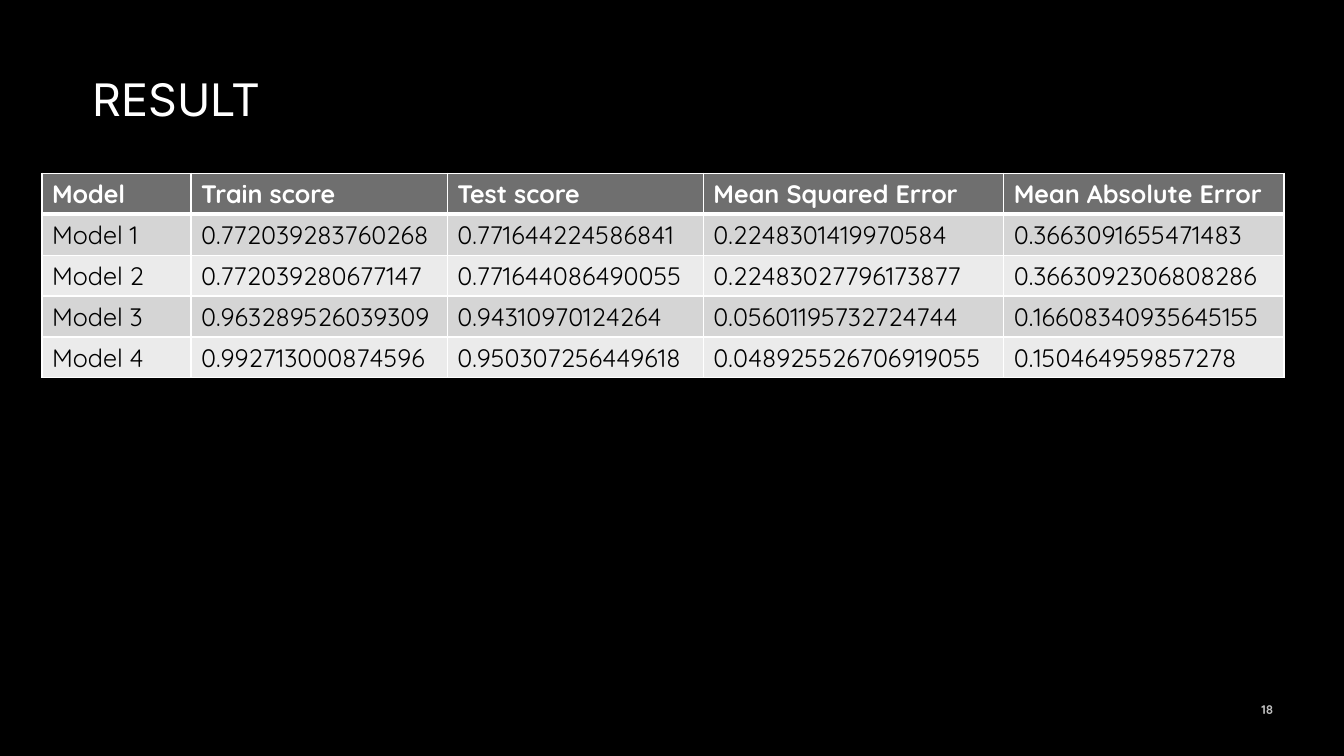
from lxml import etree
from pptx import Presentation
from pptx.dml.color import RGBColor
from pptx.enum.text import MSO_ANCHOR, PP_ALIGN
from pptx.oxml.ns import qn
from pptx.util import Pt

PX = 9525  # 96 px to the inch
BLACK = RGBColor(0x00, 0x00, 0x00)
WHITE = RGBColor(0xFF, 0xFF, 0xFF)
SILVER = RGBColor(0xA6, 0xA6, 0xA6)
NUMBER_GRAY = RGBColor(0xBF, 0xBF, 0xBF)
HEADER_GRAY = RGBColor(0x6F, 0x6F, 0x6F)
BAND_GRAYS = (RGBColor(0xEB, 0xEB, 0xEB), RGBColor(0xD5, 0xD5, 0xD5))
TOP, MIDDLE = MSO_ANCHOR.TOP, MSO_ANCHOR.MIDDLE
LEFT, RIGHT = PP_ALIGN.LEFT, PP_ALIGN.RIGHT

COLUMN_WIDTHS = (142, 244, 244, 286, 267)
ROW_HEIGHT = 39
RESULTS = (
    ("Model", "Train score", "Test score", "Mean Squared Error", "Mean Absolute Error"),
    ("Model 1", "0.772039283760268", "0.771644224586841", "0.2248301419970584", "0.3663091655471483"),
    ("Model 2", "0.772039280677147", "0.771644086490055", "0.22483027796173877", "0.3663092306808286"),
    ("Model 3", "0.963289526039309", "0.94310970124264", "0.05601195732724744", "0.16608340935645155"),
    ("Model 4", "0.992713000874596", "0.950307256449618", "0.048925526706919055", "0.150464959857278"),
)


def write(text_frame, text, color, **font_values):
    """Put one run of text in the frame and return its font."""
    run = text_frame.paragraphs[0].add_run()
    run.text = text
    for name, value in font_values.items():
        setattr(run.font, name, value)
    run.font.color.rgb = color
    return run.font


def set_borders(cell, widths):
    """Draw white cell borders; widths maps a border tag to points."""
    properties = cell._tc.get_or_add_tcPr()
    for position, (tag, width) in enumerate(widths.items()):
        line = etree.Element(qn(f"a:{tag}"), w=str(Pt(width)))
        fill = etree.SubElement(line, qn("a:solidFill"))
        etree.SubElement(fill, qn("a:srgbClr"), val=str(WHITE))
        properties.insert(position, line)


presentation = Presentation()
presentation.slide_width = 1280 * PX
presentation.slide_height = 720 * PX
slide = presentation.slides.add_slide(presentation.slide_layouts[6])
slide.background.fill.solid()
slide.background.fill.fore_color.rgb = BLACK

# Slide number and title
fonts = {}
for text, box, anchor, alignment, color, font_values in (
    ("18", (1164, 657, 58, 38), MIDDLE, RIGHT, NUMBER_GRAY,
     {"name": "Quicksand", "size": Pt(9), "bold": True}),
    ("RESULT", (79, 64, 1082, 69), TOP, LEFT, WHITE,
     {"name": "Inter", "size": Pt(32)}),
):
    text_box = slide.shapes.add_textbox(*(length * PX for length in box))
    text_frame = text_box.text_frame
    text_frame.word_wrap = True
    text_frame.vertical_anchor = anchor
    text_frame.paragraphs[0].alignment = alignment
    fonts[text] = write(text_frame, text, color, **font_values)

# Title gradient, white to silver
title_fill = fonts["RESULT"].fill
title_fill.gradient()
title_fill.gradient_angle = 267
for stop, color in zip(title_fill.gradient_stops, (WHITE, SILVER)):
    stop.color.rgb = color

# Result table
table = slide.shapes.add_table(
    len(RESULTS), len(COLUMN_WIDTHS), 40 * PX, 165 * PX,
    sum(COLUMN_WIDTHS) * PX, len(RESULTS) * ROW_HEIGHT * PX,
).table
for column, width in zip(table.columns, COLUMN_WIDTHS):
    column.width = width * PX

for row_index, values in enumerate(RESULTS):
    is_header = row_index == 0
    table.rows[row_index].height = ROW_HEIGHT * PX
    border_widths = {
        "lnL": 1,
        "lnR": 1,
        "lnT": 3 if row_index == 1 else 1,
        "lnB": 3 if is_header else 1,
    }
    for column_index, value in enumerate(values):
        cell = table.cell(row_index, column_index)
        cell.fill.solid()
        cell.fill.fore_color.rgb = HEADER_GRAY if is_header else BAND_GRAYS[row_index % 2]
        set_borders(cell, border_widths)
        write(cell.text_frame, value, WHITE if is_header else BLACK,
              name="Quicksand", size=Pt(18), bold=is_header)

presentation.save("out.pptx")
